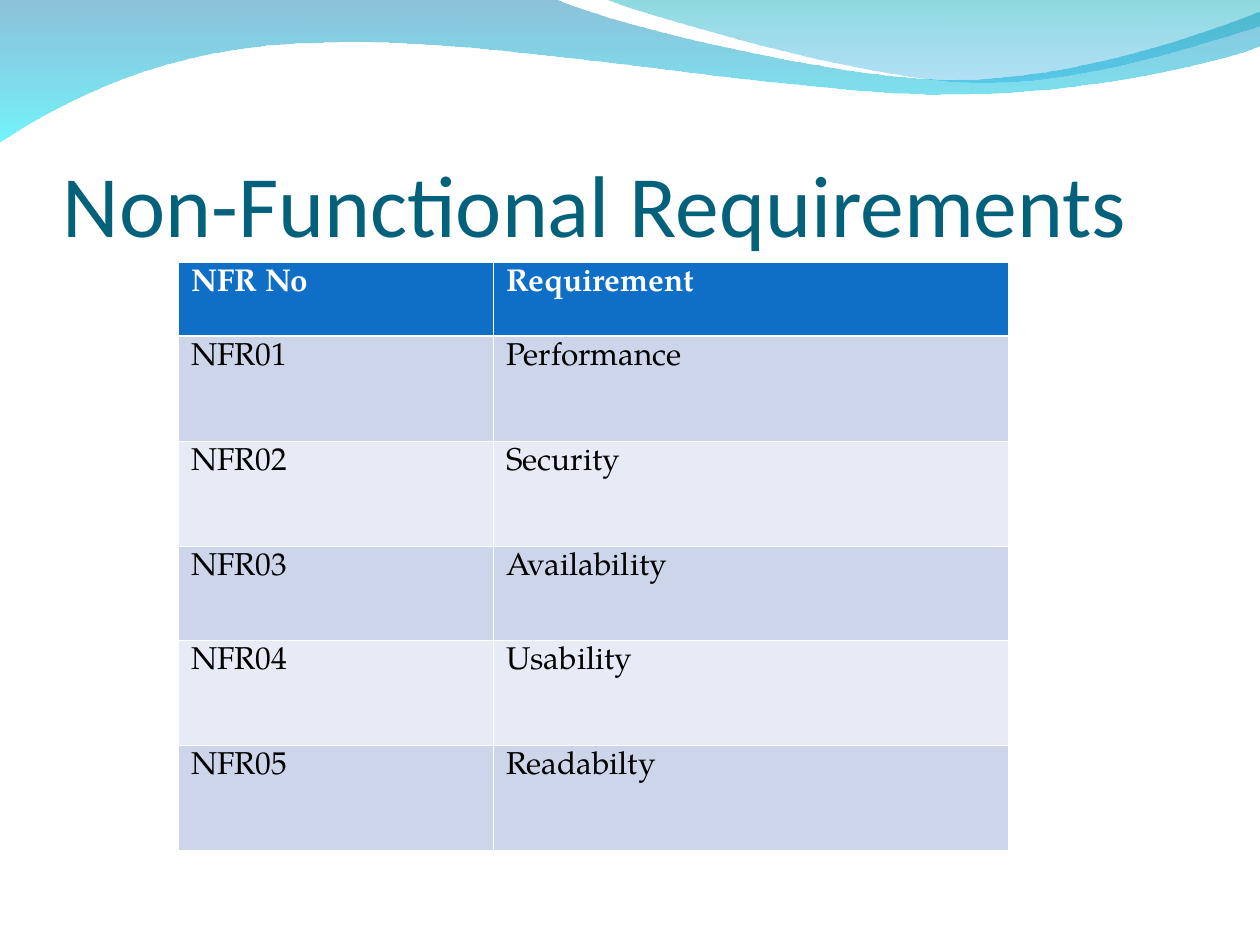
import lxml.etree
import pptx
import pptx.dml.color
import pptx.enum.text
import pptx.oxml.ns
import pptx.util

Pt = pptx.util.Pt
RGBColor = pptx.dml.color.RGBColor
qn = pptx.oxml.ns.qn

WHITE = RGBColor(0xFF, 0xFF, 0xFF)
BLACK = RGBColor(0x00, 0x00, 0x00)
TITLE_TEAL = RGBColor(0x04, 0x61, 0x7B)
HEADER_BLUE = RGBColor(0x0F, 0x6F, 0xC6)
BAND_DARK = RGBColor(0xCC, 0xD5, 0xEA)
BAND_LIGHT = RGBColor(0xE7, 0xEB, 0xF5)
DEEP_BLUE = RGBColor(0x00, 0x79, 0xAF)
AQUA = RGBColor(0x00, 0xEB, 0xF8)
SEA_GREEN = RGBColor(0x00, 0xAD, 0xB6)
SKY_BLUE = RGBColor(0x00, 0x9B, 0xE5)


def write_text(frame, text, font="Calibri", size=18, color=BLACK, bold=False):
    para = frame.paragraphs[0]
    span = para.add_run()
    span.text = text
    span.font.name = font
    span.font.size = Pt(size)
    span.font.bold = bold
    span.font.color.rgb = color


deck = pptx.Presentation()
deck.slide_width = Pt(720)
deck.slide_height = Pt(540)
page = deck.slides.add_slide(deck.slide_layouts[6])

long_wave = [
    [(0, -0.7)],
    [(317, -0.7)],
    [(342.7, 12.2), (478, 45.4), (545.8, 45.4)],
    [(614, 45.4), (689.8, 18.7), (720, 6.5)],
    [(720.7, 25.9)],
    [(709.2, 31.7), (626.4, 54.7), (537.1, 54)],
    [(447.8, 54), (275, 20.2), (185, 24.5)],
    [(92.9, 25.2), (33.1, 59.8), (-0.7, 81.4)],
]
short_wave = [
    [(344.9, -0.7)],
    [(366.5, 7.9), (491, 44.6), (553.7, 46.8)],
    [(616.3, 49.7), (691.9, 23), (720, 15.1)],
    [(720, 0)],
]
waves = [
    (long_wave, [(DEEP_BLUE, 45), (AQUA, 55)]),
    (short_wave, [(SEA_GREEN, 45), (SKY_BLUE, 30)]),
]
UNITS = 100

for segments, colors in waves:
    points = [(x * UNITS, y * UNITS) for segment in segments for x, y in segment]
    builder = page.shapes.build_freeform(*points[0], scale=Pt(1) / UNITS)
    builder.add_line_segments(points[1:], close=True)
    wave = builder.convert_to_shape()
    lines = iter(list(wave.element.spPr.iter(qn("a:lnTo"))))
    for segment in segments[1:]:
        pieces = [next(lines) for point in segment]
        if len(pieces) == 3:
            curve = lxml.etree.Element(qn("a:cubicBezTo"))
            pieces[0].addprevious(curve)
            for piece in pieces:
                curve.append(piece[0])
                piece.getparent().remove(piece)
    wave.shadow.inherit = False
    wave.line.fill.background()
    wave.fill.gradient()
    wave.fill.gradient_angle = 270
    for stop, (color, opacity) in zip(wave.fill.gradient_stops, colors):
        stop.color.rgb = color
    for tag, (color, opacity) in zip(wave.element.spPr.iter(qn("a:srgbClr")), colors):
        lxml.etree.SubElement(tag, qn("a:alpha"), val=str(opacity * 1000))

title_box = page.shapes.add_textbox(Pt(36), Pt(55.5), Pt(648), Pt(90))
title = title_box.text_frame
title.word_wrap = True
title.vertical_anchor = pptx.enum.text.MSO_ANCHOR.BOTTOM
title.margin_left = title.margin_right = title.margin_bottom = 0
title.margin_top = Pt(3.6)
write_text(title, "Non-Functional Requirements", size=50, color=TITLE_TEAL)

rows = [
    ("NFR No", "Requirement"),
    ("NFR01", "Performance"),
    ("NFR02", "Security"),
    ("NFR03", "Availability"),
    ("NFR04", "Usability"),
    ("NFR05", "Readabilty"),
]
row_heights = [42, 60, 60, 54, 60, 60]
column_widths = [180, 294]
table = page.shapes.add_table(
    len(rows), 2, Pt(102), Pt(150), Pt(sum(column_widths)), Pt(sum(row_heights))
).table
for column, width in zip(table.columns, column_widths):
    column.width = Pt(width)

for row_index, (texts, height) in enumerate(zip(rows, row_heights)):
    table.rows[row_index].height = Pt(height)
    is_header = row_index == 0
    band = HEADER_BLUE if is_header else BAND_DARK if row_index % 2 else BAND_LIGHT
    for column_index, text in enumerate(texts):
        cell = table.cell(row_index, column_index)
        properties = cell._tc.get_or_add_tcPr()
        for side in "LRTB":
            thick = (row_index, side) in [(0, "B"), (1, "T")]
            border = lxml.etree.SubElement(
                properties, qn("a:ln" + side), w=str(Pt(1.47 if thick else 0.45))
            )
            paint = lxml.etree.SubElement(border, qn("a:solidFill"))
            lxml.etree.SubElement(paint, qn("a:srgbClr"), val=str(WHITE))
        cell.fill.solid()
        cell.fill.fore_color.rgb = band
        write_text(
            cell.text_frame,
            text,
            font="TeX Gyre Pagella",
            color=WHITE if is_header else BLACK,
            bold=is_header,
        )

deck.save("out.pptx")
